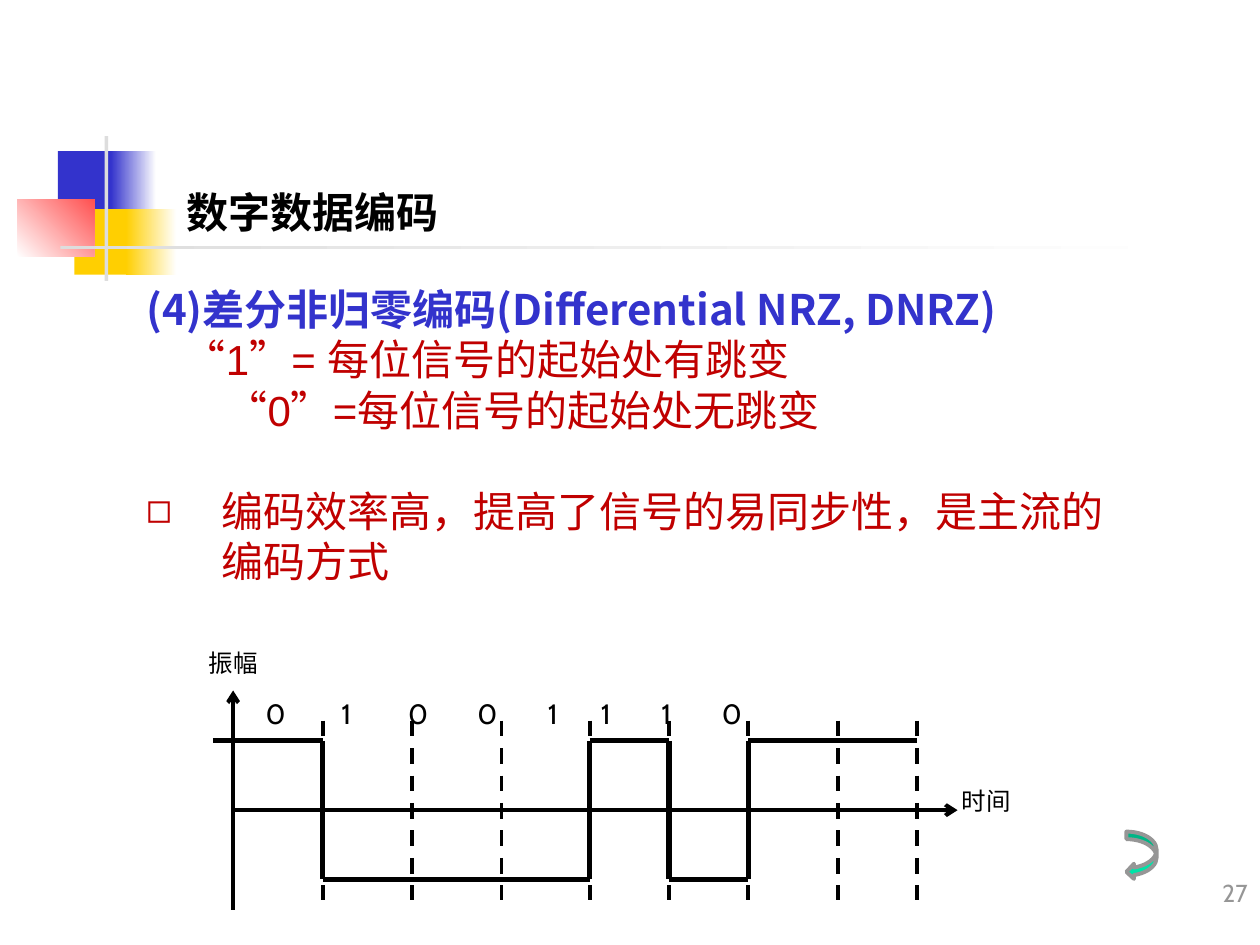
from lxml.etree import SubElement as Sub
from pptx import Presentation
from pptx.dml.color import RGBColor
from pptx.enum.dml import MSO_LINE
from pptx.enum.shapes import MSO_CONNECTOR as Link, MSO_SHAPE as Form
from pptx.enum.text import MSO_ANCHOR as Anchor, MSO_AUTO_SIZE as Auto, PP_ALIGN as Align
from pptx.oxml.ns import qn
from pptx.util import Inches, Pt

BLUE, GOLD, GREY, WHITE, BLACK, RED = "3333CC", "FFCF01", "DDDDDD", "FFFFFF", "000000", "C00000"
HIGH, LOW, AXIS = 5.88, 6.98, 6.43
BITS = [2.56, 3.27, 3.98, 4.68, 5.31, 5.94, 6.65, 7.28]
JUMPS = [2.56, 4.68, 5.31, 5.94]
STOPS = [0.64, 1.21, 1.76, 2.28, 2.7, 3.18, 3.7]


def rgb(code):
    """Turn a hex string into a colour."""
    return RGBColor.from_string(code)


def style(font, color=BLACK, **form):
    """Apply format values to a font."""
    font.color.rgb = rgb(color)
    for name, value in form.items():
        setattr(font, name, value)


def place(shape, box):
    """Move and size a shape in inches."""
    for name, value in zip(("left", "top", "width", "height"), box):
        setattr(shape, name, Inches(value))


def block(slide, box, start, end=None, angle=0):
    """Draw a plain or fading rectangle."""
    shape = slide.shapes.add_shape(Form.RECTANGLE, *map(Inches, box))
    shape.shadow.inherit = False
    shape.line.fill.background()
    if end is None:
        shape.fill.solid()
        shape.fill.fore_color.rgb = rgb(start)
        return
    shape.fill.gradient()
    shape.fill.gradient_angle = angle
    for stop, code in zip(shape.fill.gradient_stops, (start, end)):
        stop.color.rgb = rgb(code)


def line(slide, start, end, width=2.25, dash=None, arrow=False):
    """Draw a black line between two points."""
    link = slide.shapes.add_connector(Link.STRAIGHT, *map(Inches, start + end))
    link.line.color.rgb = rgb(BLACK)
    link.line.width = Pt(width)
    if dash:
        link.line.dash_style = dash
    if arrow:
        Sub(link.line._ln, qn("a:tailEnd"), type="arrow")
    Sub(link._element.spPr, qn("a:effectLst"))


def label(slide, box, text, size=14, color=BLACK, align=Align.LEFT, anchor=Anchor.TOP, stops=()):
    """Add a text box with one line of text."""
    shape = slide.shapes.add_textbox(*map(Inches, box))
    frame = shape.text_frame
    frame.word_wrap = True
    frame.vertical_anchor = anchor
    para = frame.paragraphs[0]
    if stops:
        tabs = Sub(para._p.get_or_add_pPr(), qn("a:tabLst"))
        for stop in stops:
            Sub(tabs, qn("a:tab"), pos=str(Inches(stop)), algn="ctr")
    para.alignment = align
    run = para.add_run()
    run.text = text
    style(run.font, color, size=Pt(size), name="Cabin")


def item(para, runs, left=0, bullet=None, gap=0):
    """Fill one body paragraph with runs of text, font, colour and weight."""
    props = para._p.get_or_add_pPr()
    props.set("marL", str(Inches(left)))
    props.set("indent", str(Inches(-left if bullet else 0)))
    para.line_spacing = Pt(28.8)
    para.space_before = Pt(gap)
    para.space_after = Pt(0)
    if bullet:
        tint = Sub(props, qn("a:buClr"))
        Sub(tint, qn("a:srgbClr"), val=RED)
        Sub(props, qn("a:buChar"), char=bullet)
    else:
        Sub(props, qn("a:buNone"))
    for text, name, color, bold in runs:
        run = para.add_run()
        run.text = text
        style(run.font, color, size=Pt(24), name=name, bold=bold)


def heading(slide):
    """Set the title and its coloured blocks."""
    block(slide, (0.46, 1.2, 0.48, 0.52), BLUE)
    block(slide, (0.88, 1.2, 0.36, 0.52), BLUE, WHITE)
    block(slide, (0.59, 1.66, 0.46, 0.52), GOLD)
    block(slide, (1, 1.66, 0.4, 0.52), GOLD, WHITE)
    block(slide, (0.14, 1.58, 0.61, 0.46), WHITE, "FF5050", 45)
    block(slide, (0.83, 1.08, 0.03, 1.15), GREY)
    block(slide, (0.48, 1.95, 9, 0.03), GREY, WHITE)
    title = slide.shapes.title
    place(title, (1.38, 0.68, 6.54, 1.25))
    title.text_frame.vertical_anchor = Anchor.BOTTOM
    para = title.text_frame.paragraphs[0]
    para.alignment = Align.LEFT
    run = para.add_run()
    run.text = "数字数据编码"
    style(run.font, size=Pt(24), name="Arial", bold=True)


def body(slide):
    """Set the list on the coding rule."""
    shape = slide.placeholders[1]
    place(shape, (1.06, 2.18, 8.58, 2.52))
    frame = shape.text_frame
    frame.auto_size = Auto.NONE
    frame.vertical_anchor = Anchor.BOTTOM
    rows = [
        ([("(4)差分非归零编码(Differential NRZ, DNRZ)", "Noto Sans CJK SC", BLUE, True)], {}),
        ([("“1”= 每位信号的起始处有跳变", "Arial", RED, False)], {"left": 0.3}),
        ([("“0”=", "Arial", RED, False),
          ("每位信号的起始处无跳变", "Cabin", RED, False)], {"left": 0.63}),
        ([("编码效率高，提高了信号的易同步性，是主流的", "Arial", RED, False)],
         {"left": 0.6, "bullet": "◻", "gap": 28.8}),
        ([("编码方式", "Arial", RED, False)], {"left": 0.6}),
    ]
    for num, (runs, form) in enumerate(rows):
        para = frame.add_paragraph() if num else frame.paragraphs[0]
        item(para, runs, **form)


def wave(slide):
    """Draw the axes, the bit grid and the signal."""
    line(slide, (1.85, 7.22), (1.85, 5.48), arrow=True)
    line(slide, (1.85, AXIS), (7.6, AXIS), arrow=True)
    label(slide, (1.3, 5.09, 1.1, 0.34), "振幅", align=Align.CENTER)
    label(slide, (7.28, 6.19, 1.1, 0.34), "时间", align=Align.CENTER)
    for left in BITS:
        line(slide, (left, 5.72), (left, 7.14), dash=MSO_LINE.DASH)
    ends = [1.69] + JUMPS + [7.28]
    for num, (left, right) in enumerate(zip(ends, ends[1:])):
        level = LOW if num % 2 else HIGH
        line(slide, (left, level), (right, level), 3)
    for left in JUMPS:
        line(slide, (left, HIGH), (left, LOW), 3)
    label(slide, (2.01, 5.48, 5.59, 0.37), "\t".join("01001110"), 16, stops=STOPS)


def back(slide):
    """Draw the curved return arrow."""
    shape = slide.shapes.add_shape(Form.CURVED_LEFT_ARROW, *map(Inches, (8.94, 6.6, 0.24, 0.38)))
    shape.shadow.inherit = False
    shape.fill.solid()
    shape.fill.fore_color.rgb = rgb("00E4A8")
    shape.line.color.rgb = rgb("969696")
    shape.line.width = Pt(2.25)


def main():
    """Build the slide and save it."""
    deck = Presentation()
    deck.slide_width, deck.slide_height = Inches(10), Inches(7.5)
    slide = deck.slides.add_slide(deck.slide_layouts[1])
    heading(slide)
    body(slide)
    wave(slide)
    back(slide)
    label(slide, (7.92, 6.75, 2.08, 0.5), "27", 14, "969696", Align.RIGHT, Anchor.BOTTOM)
    deck.save("out.pptx")


if __name__ == "__main__":
    main()
